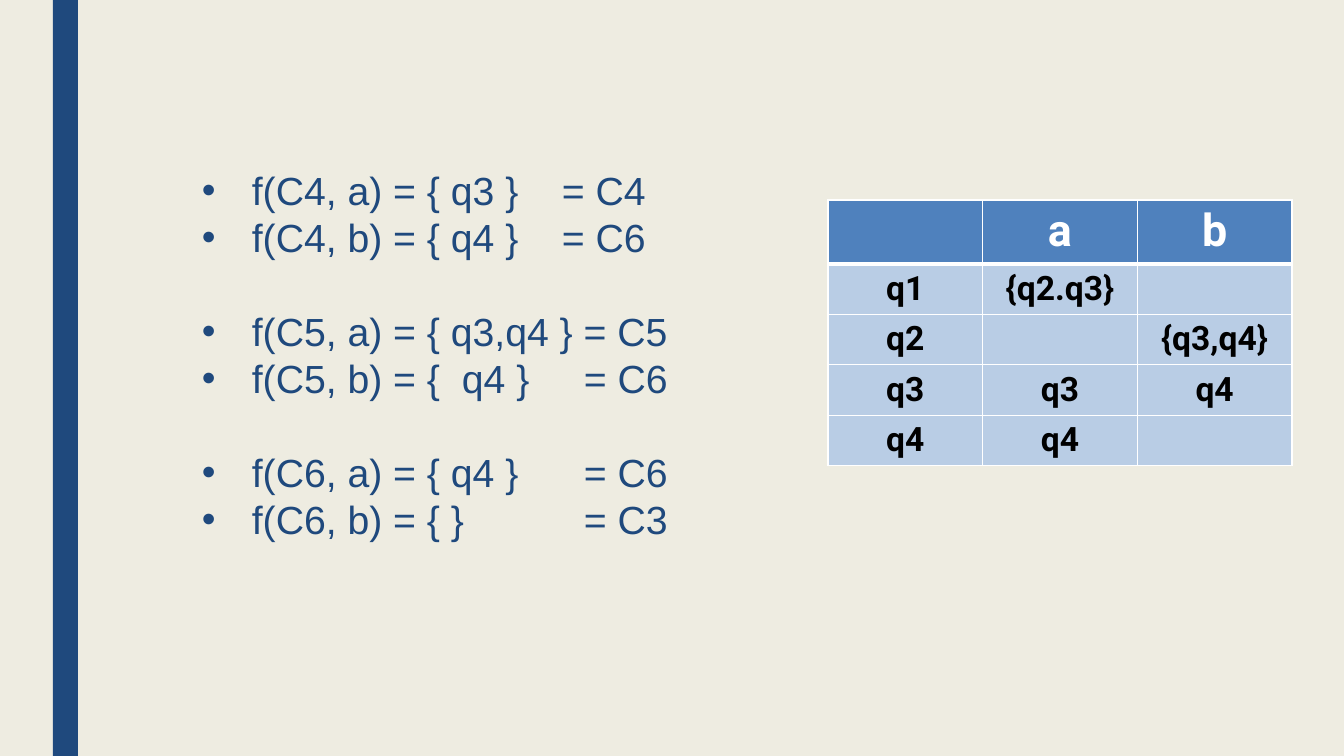
from pptx import Presentation
from pptx.dml.color import RGBColor
from pptx.enum.shapes import MSO_SHAPE
from pptx.enum.text import MSO_ANCHOR, PP_ALIGN
from pptx.oxml import parse_xml
from pptx.oxml.ns import nsdecls
from pptx.util import Emu, Pt

EMU_PER_PX = 914400 / 100.8
NAVY, CREAM, WHITE, BLACK = "1F497D", "EEECE1", "FFFFFF", "000000"
HEADER_BLUE, BODY_BLUE = "4F81BD", "B9CDE5"
LINE_PITCH = Pt(33.6)

# Transition, and the position of each tab stop in px from the text edge
TRANSITION_GROUPS = [
    [("f(C4, a) = { q3 }\t= C4", [461]), ("f(C4, b) = { q4 }\t= C6", [461])],
    [("f(C5, a) = { q3,q4 } = C5", []), ("f(C5, b) = {\tq4 }\t= C6", [361, 483])],
    [("f(C6, a) = { q4 }\t= C6", [483]), ("f(C6, b) = { }\t= C3", [483])],
]
STATE_TABLE = [
    ["", "a", "b"],
    ["q1", "{q2.q3}", ""],
    ["q2", "", "{q3,q4}"],
    ["q3", "q3", "q4"],
    ["q4", "q4", ""],
]


def px(length):
    return Emu(round(length * EMU_PER_PX))


def color(hex_value):
    return RGBColor.from_string(hex_value)


def style(font, values, font_color):
    for name, value in values.items():
        setattr(font, name, value)
    font.color.rgb = color(font_color)


def add_accent_bar(slide, box):
    bar = slide.shapes.add_shape(MSO_SHAPE.RECTANGLE, *map(px, box))
    bar.shadow.inherit = False
    bar.fill.solid()
    bar.fill.fore_color.rgb = color(NAVY)
    bar.line.fill.background()


def add_bullet(para, stops):
    """Give the paragraph a hanging bullet and its tab stops."""
    properties = para._p.get_or_add_pPr()
    properties.set("marL", str(px(151)))
    properties.set("indent", str(-px(50)))
    properties.append(parse_xml(f'<a:buFont {nsdecls("a")} typeface="Arial"/>'))
    properties.append(parse_xml(f'<a:buChar {nsdecls("a")} char="•"/>'))
    if stops:
        tabs = "".join(f'<a:tab pos="{px(stop)}" algn="l"/>' for stop in stops)
        properties.append(parse_xml(f'<a:tabLst {nsdecls("a")}>{tabs}</a:tabLst>'))


def add_transitions(slide, box):
    frame = slide.shapes.add_textbox(*map(px, box)).text_frame
    frame.word_wrap = True
    frame.margin_top = px(147)
    para = frame.paragraphs[0]
    for group_index, group in enumerate(TRANSITION_GROUPS):
        for line_index, (text, stops) in enumerate(group):
            if group_index or line_index:
                para = frame.add_paragraph()
            add_bullet(para, stops)
            para.line_spacing = LINE_PITCH
            if group_index and not line_index:
                para.space_before = LINE_PITCH
            para.text = text
            style(para.font, {"name": "Arial", "size": Pt(28)}, NAVY)


def add_borders(cell, widths):
    """Draw white cell borders; widths maps a side tag to points."""
    properties = cell._tc.get_or_add_tcPr()
    for position, (side, width) in enumerate(widths.items()):
        properties.insert(position, parse_xml(
            f'<a:{side} {nsdecls("a")} w="{Pt(width)}"><a:solidFill>'
            f'<a:srgbClr val="{WHITE}"/></a:solidFill></a:{side}>'))


def add_state_table(slide, box):
    rows, columns = len(STATE_TABLE), len(STATE_TABLE[0])
    table = slide.shapes.add_table(rows, columns, *map(px, box)).table
    header_height = 64
    row_height = (box[3] - header_height) / (rows - 1)
    for row_index, values in enumerate(STATE_TABLE):
        header = row_index == 0
        table.rows[row_index].height = px(header_height if header else row_height)
        for column_index, text in enumerate(values):
            cell = table.cell(row_index, column_index)
            cell.fill.solid()
            cell.fill.fore_color.rgb = color(HEADER_BLUE if header else BODY_BLUE)
            add_borders(cell, {"lnL": 1, "lnR": 1, "lnT": 3 if row_index == 1 else 1,
                               "lnB": 3 if header else 1})
            cell.vertical_anchor = MSO_ANCHOR.TOP
            para = cell.text_frame.paragraphs[0]
            para.text = text
            para.alignment = PP_ALIGN.CENTER
            style(para.font, {"name": "Roboto", "size": Pt(32 if header else 24), "bold": True},
                  WHITE if header else BLACK)


def main():
    deck = Presentation()
    deck.slide_width, deck.slide_height = px(1344), px(756)
    slide = deck.slides.add_slide(deck.slide_layouts[6])
    slide.background.fill.solid()
    slide.background.fill.fore_color.rgb = color(CREAM)
    add_accent_bar(slide, (53, 0, 25, 756))
    add_transitions(slide, (91, 19, 1217, 737))
    add_state_table(slide, (828, 200, 464, 265))
    deck.save("out.pptx")


if __name__ == "__main__":
    main()
